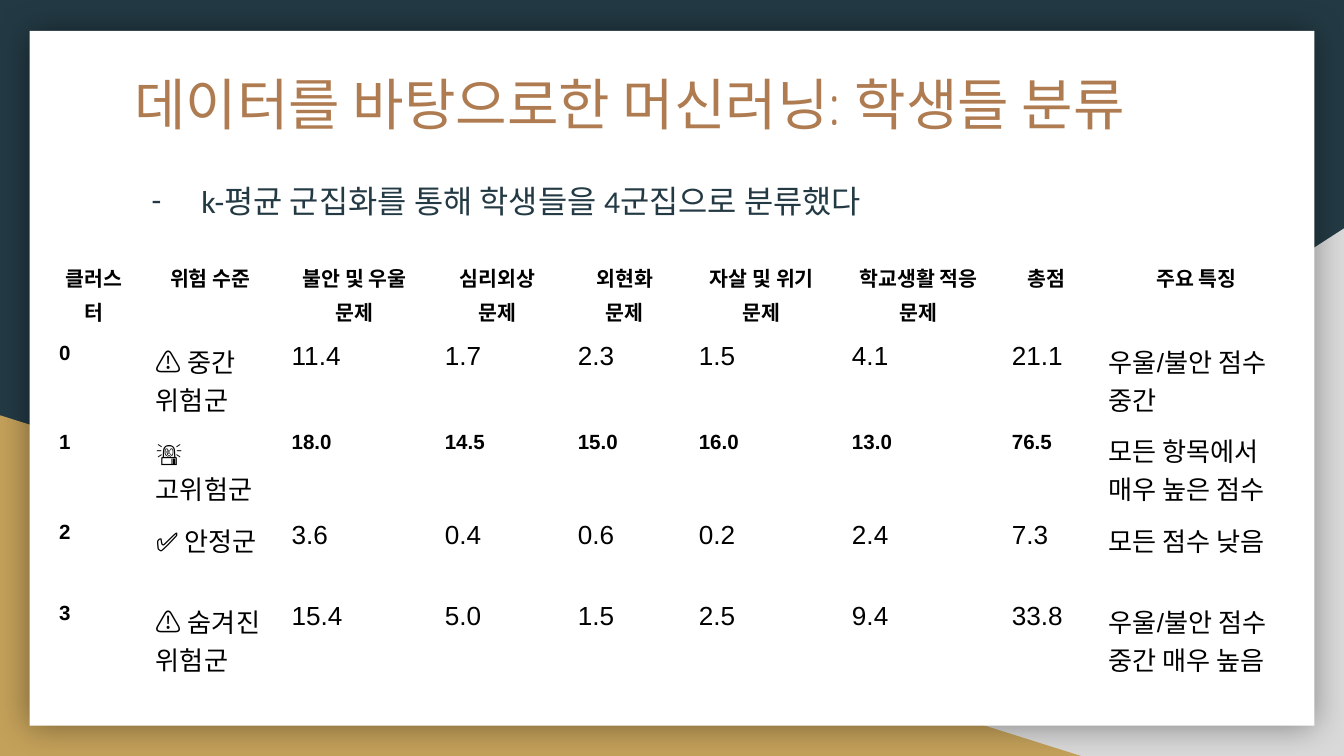
import dataclasses

import lxml.etree
import pptx
import pptx.dml.color
import pptx.enum.shapes
import pptx.enum.text
import pptx.oxml
import pptx.oxml.ns
import pptx.util

Inches = pptx.util.Inches
qn = pptx.oxml.ns.qn


@dataclasses.dataclass(frozen=True)
class Theme:
    navy: str = "233A44"
    gray: str = "D9D9D9"
    gold: str = "C4A15A"
    white: str = "FFFFFF"
    copper: str = "AF7B51"
    black: str = "000000"
    title_size: int = 30
    body_size: int = 17
    cell_size: int = 14
    strong_size: int = 11
    title_font: str = "Quicksand"
    body_font: str = "Calibri"
    table_font: str = "Arial"


theme = Theme()


def set_font(para, name, size, color, bold=False):
    para.font.name = name
    para.font.size = pptx.util.Pt(size)
    para.font.bold = bold
    para.font.color.rgb = pptx.dml.color.RGBColor.from_string(color)


def set_margins(target):
    target.margin_left = target.margin_right = Inches(0.1)
    target.margin_top = target.margin_bottom = Inches(0.1)


deck = pptx.Presentation()
deck.slide_width = Inches(10)
deck.slide_height = Inches(5.625)
page = deck.slides.add_slide(deck.slide_layouts[6])
page.background.fill.solid()
page.background.fill.fore_color.rgb = pptx.dml.color.RGBColor.from_string(theme.navy)

kinds = pptx.enum.shapes.MSO_SHAPE
backdrop = [
    (kinds.RIGHT_TRIANGLE, 3.92, 1.7, 6.08, 3.93, theme.gray),
    (kinds.RIGHT_TRIANGLE, 0, 3.09, 8.06, 2.54, theme.gold),
    (kinds.RECTANGLE, 0.22, 0.23, 9.56, 5.17, theme.white),
]
panels = []
for kind, left, top, width, height, color in backdrop:
    panel = page.shapes.add_shape(kind, Inches(left), Inches(top), Inches(width), Inches(height))
    panel.shadow.inherit = False
    panel.fill.solid()
    panel.fill.fore_color.rgb = pptx.dml.color.RGBColor.from_string(color)
    panel.line.fill.background()
    panels.append(panel)

gray_triangle, gold_triangle, card = panels
gray_triangle._element.spPr.find(qn("a:xfrm")).set("flipH", "1")
effects = card._element.spPr.find(qn("a:effectLst"))
shadow = lxml.etree.SubElement(effects, qn("a:outerShdw"), blurRad=str(pptx.util.Pt(18)),
                               dist="0", dir="0", algn="ctr", rotWithShape="0")
shadow_color = lxml.etree.SubElement(shadow, qn("a:srgbClr"), val=theme.black)
lxml.etree.SubElement(shadow_color, qn("a:alpha"), val="40000")

texts = [
    (0.42, 1.04, "데이터를 바탕으로한 머신러닝: 학생들 분류",
     theme.title_font, theme.title_size, theme.copper),
    (1.21, 0.6, "k-평균 군집화를 통해 학생들을 4군집으로 분류했다",
     theme.body_font, theme.body_size, theme.navy),
]
for top, height, text, font, size, color in texts:
    box = page.shapes.add_textbox(Inches(0.9), Inches(top), Inches(8.21), Inches(height))
    box.text_frame.word_wrap = True
    set_margins(box.text_frame)
    para = box.text_frame.paragraphs[0]
    para.text = text
    set_font(para, font, size, color)

para.line_spacing = 1.15
bullet = para._p.get_or_add_pPr()
bullet.set("marL", str(Inches(0.5)))
bullet.set("indent", str(Inches(-0.37)))
bullet_color = lxml.etree.SubElement(bullet, qn("a:buClr"))
lxml.etree.SubElement(bullet_color, qn("a:srgbClr"), val=theme.navy)
lxml.etree.SubElement(bullet, qn("a:buFont"), typeface=theme.body_font)
lxml.etree.SubElement(bullet, qn("a:buChar"), char="-")
bullet.append(bullet.find(qn("a:defRPr")))

rows = [
    ["클러스터", "위험 수준", "불안 및 우울 문제", "심리외상 문제", "외현화 문제",
     "자살 및 위기 문제", "학교생활 적응 문제", "총점", "주요 특징"],
    ["0", "⚠️ 중간 위험군", "11.4", "1.7", "2.3", "1.5", "4.1", "21.1", "우울/불안 점수 중간"],
    ["1", "🚨 고위험군", "18.0", "14.5", "15.0", "16.0", "13.0", "76.5", "모든 항목에서 매우 높은 점수"],
    ["2", "✅ 안정군", "3.6", "0.4", "0.6", "0.2", "2.4", "7.3", "모든 점수 낮음"],
    ["3", "⚠️ 숨겨진 위험군", "15.4", "5.0", "1.5", "2.5", "9.4", "33.8", "우울/불안 점수 중간 매우 높음"],
]
column_widths = [0.72, 1.01, 1.14, 0.99, 0.9, 1.14, 1.19, 0.72, 1.51]
row_heights = [0.27, 0.5, 0.5, 0.6, 0.5]
high_risk_row = 2
score_columns = range(2, 8)

frame = page.shapes.add_table(len(rows), len(column_widths), Inches(0.34), Inches(1.82),
                              Inches(sum(column_widths)), Inches(sum(row_heights)))
table = frame.table
table.first_row = False
table.horz_banding = False
for column, width in zip(table.columns, column_widths):
    column.width = Inches(width)
for row, height in zip(table.rows, row_heights):
    row.height = Inches(height)

for row_index, values in enumerate(rows):
    for column_index, value in enumerate(values):
        cell = table.cell(row_index, column_index)
        cell.fill.background()
        set_margins(cell)
        para = cell.text_frame.paragraphs[0]
        para.text = value
        is_header = row_index == 0
        is_strong = (is_header or column_index == 0
                     or (row_index == high_risk_row and column_index in score_columns))
        size = theme.strong_size if is_strong else theme.cell_size
        set_font(para, theme.table_font, size, theme.black, is_strong)
        if is_header:
            para.alignment = pptx.enum.text.PP_ALIGN.CENTER
            para.line_spacing = 1.15

deck.save("out.pptx")
